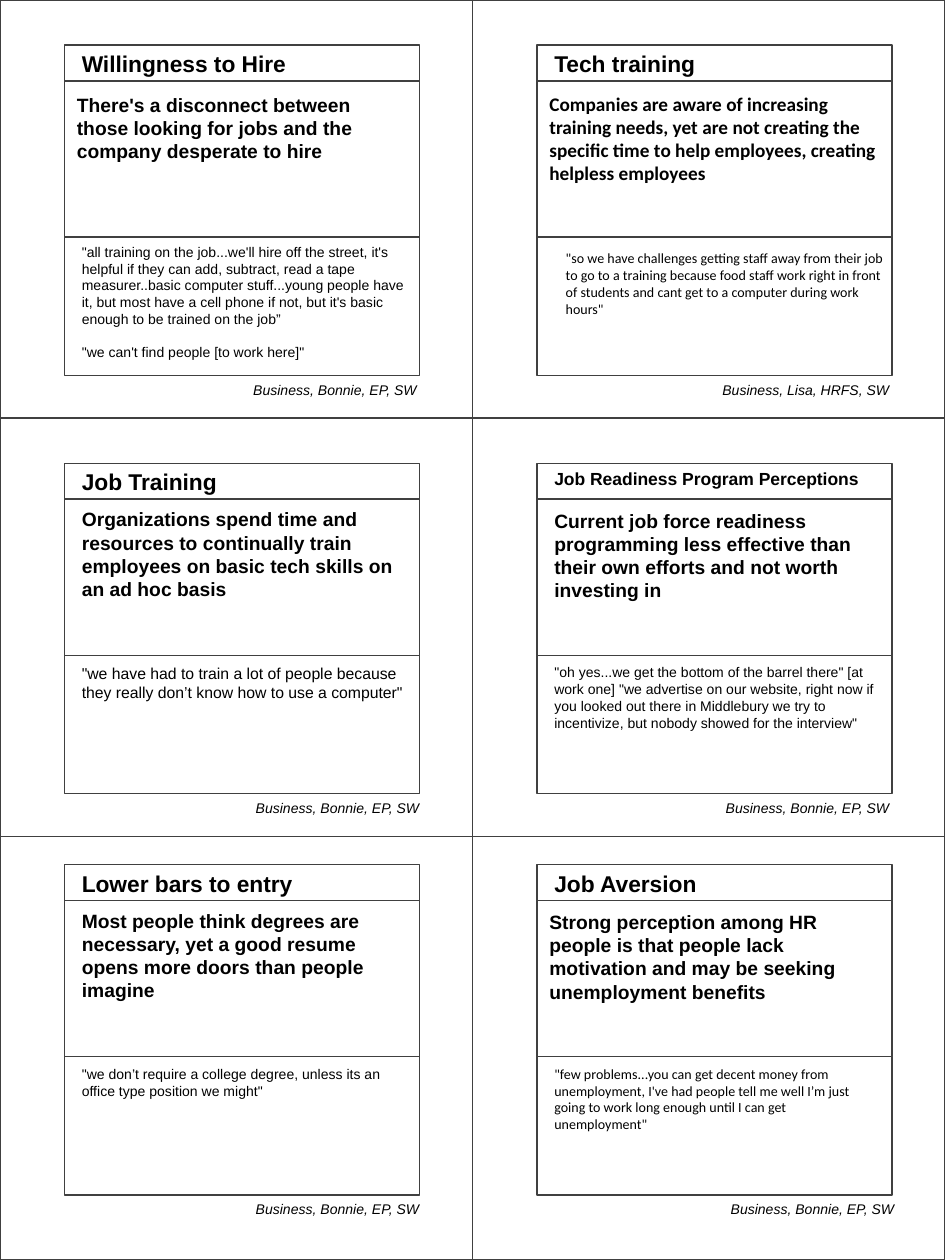
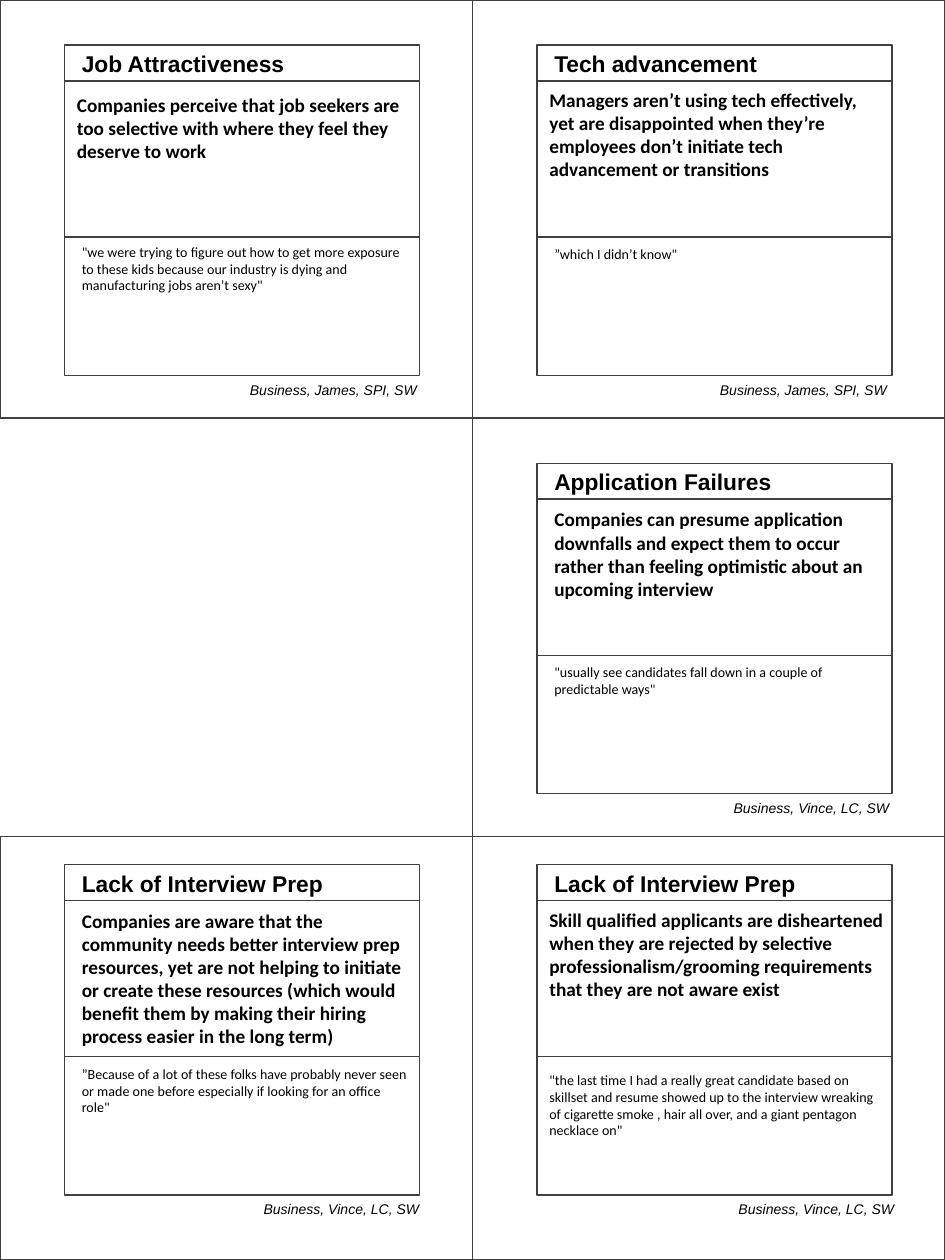
from dataclasses import dataclass

from pptx import Presentation
from pptx.dml.color import RGBColor
from pptx.enum.shapes import MSO_SHAPE
from pptx.enum.text import MSO_AUTO_SIZE, PP_ALIGN
from pptx.util import Cm, Pt


@dataclass(frozen=True)
class Theme:
    ink: RGBColor = RGBColor(0x00, 0x00, 0x00)
    rule: RGBColor = RGBColor(0x40, 0x40, 0x40)
    rule_width: float = 0.75
    heading_font: str = "Arial"
    body_font: str = "Calibri"
    title_size: float = 13
    small_title_size: float = 10
    insight_size: float = 11
    large_quote_size: float = 9
    quote_size: float = 8
    source_size: float = 8
    quote_gap: float = 9.5


@dataclass(frozen=True)
class Box:
    left: float
    top: float
    width: float
    height: float

    def inner(self, left, top, width, height):
        return Box(self.left + left, self.top + top, width, height)


@dataclass(frozen=True)
class Card:
    row: int
    column: int
    title: str
    insight: str
    quotes: tuple
    source: str
    title_size: float = Theme.title_size
    insight_font: str = Theme.body_font
    quote_font: str = Theme.body_font
    quote_size: float = Theme.quote_size
    insight_shift: tuple = (0.1, 0.05)
    insight_width: float = 7.06
    quote_shift: tuple = (0.1, 0.05)
    source_shift: float = -0.41


THEME = Theme()
PAGE_WIDTH, PAGE_HEIGHT = 19.05, 25.4
CELL_WIDTH = PAGE_WIDTH / 2
ROW_TOPS = (0, 8.43, 16.87, PAGE_HEIGHT)
CARD_TOPS = (0.91, 0.91, 0.56)
CARD_LEFT, CARD_WIDTH = 1.3, 7.16
TITLE_HEIGHT = 0.73
INSIGHT_TOP, INSIGHT_HEIGHT = 0.72, 3.15
QUOTE_TOP, QUOTE_HEIGHT = 3.87, 2.79
SOURCE_TOP, SOURCE_WIDTH = 6.65, 7.82

HIRING_CARDS = (
    Card(0, 0, "Willingness to Hire",
         "There's a disconnect between those looking for jobs and the company desperate to hire",
         ("\"all training on the job...we'll hire off the street, it's helpful if they can add, "
          "subtract, read a tape measurer..basic computer stuff...young people have it, but most "
          "have a cell phone if not, but it's basic enough to be trained on the job”",
          "\"we can't find people [to work here]\""),
         "Business, Bonnie, EP, SW",
         insight_font=THEME.heading_font, quote_font=THEME.heading_font,
         insight_shift=(0, 0.12), quote_shift=(0.1, 0), source_shift=-0.46),
    Card(0, 1, "Tech training",
         "Companies are aware of increasing training needs, yet are not creating the specific "
         "time to help employees, creating helpless employees",
         ("\"so we have challenges getting staff away from their job to go to a training because "
          "food staff work right in front of students and cant get to a computer during work "
          "hours\"",),
         "Business, Lisa, HRFS, SW",
         insight_shift=(0, 0.1), insight_width=7.16, quote_shift=(0.33, 0.13),
         source_shift=-0.46),
    Card(1, 0, "Job Training",
         "Organizations spend time and resources to continually train employees on basic tech "
         "skills on an ad hoc basis",
         ("\"we have had to train a lot of people because they really don’t know how to use a "
          "computer\"",),
         "Business, Bonnie, EP, SW",
         insight_font=THEME.heading_font, quote_font=THEME.heading_font,
         quote_size=THEME.large_quote_size),
    Card(1, 1, "Job Readiness Program Perceptions",
         "Current job force readiness programming less effective than their own efforts and not "
         "worth investing in",
         ("\"oh yes...we get the bottom of the barrel there\" [at work one] \"we advertise on our "
          "website, right now if you looked out there in Middlebury we try to incentivize, but "
          "nobody showed for the interview\"",),
         "Business, Bonnie, EP, SW",
         title_size=THEME.small_title_size, insight_font=THEME.heading_font,
         quote_font=THEME.heading_font, insight_shift=(0.1, 0.08), source_shift=-0.46),
    Card(2, 0, "Lower bars to entry",
         "Most people think degrees are necessary, yet a good resume opens more doors than "
         "people imagine",
         ("\"we don’t require a college degree, unless its an office type position we might\"",),
         "Business, Bonnie, EP, SW",
         insight_font=THEME.heading_font, quote_font=THEME.heading_font),
    Card(2, 1, "Job Aversion",
         "Strong perception among HR people is that people lack motivation and may be seeking "
         "unemployment benefits",
         ("\"few problems...you can get decent money from unemployment, I've had people tell me "
          "well I’m just going to work long enough until I can get unemployment\"",),
         "Business, Bonnie, EP, SW",
         insight_font=THEME.heading_font, insight_shift=(0, 0.08), insight_width=7.16,
         source_shift=-0.36),
)

APPLICANT_CARDS = (
    Card(0, 0, "Job Attractiveness",
         "Companies perceive that job seekers are too selective with where they feel they "
         "deserve to work",
         ("\"we were trying to figure out how to get more exposure to these kids because our "
          "industry is dying and manufacturing jobs aren’t sexy\"",),
         "Business, James, SPI, SW",
         insight_shift=(0, 0.12), insight_width=7.16, quote_shift=(0.1, 0), source_shift=-0.46),
    Card(0, 1, "Tech advancement",
         "Managers aren’t using tech effectively, yet are disappointed when they’re employees "
         "don’t initiate tech advancement or transitions",
         ("”which I didn’t know\"",),
         "Business, James, SPI, SW",
         insight_shift=(0, 0.02), insight_width=7.16, source_shift=-0.51),
    Card(1, 1, "Application Failures",
         "Companies can presume application downfalls and expect them to occur rather than "
         "feeling optimistic about an upcoming interview",
         ("\"usually see candidates fall down in a couple of predictable ways\"",),
         "Business, Vince, LC, SW",
         insight_width=6.86, source_shift=-0.46),
    Card(2, 0, "Lack of Interview Prep",
         "Companies are aware that the community needs better interview prep resources, yet are "
         "not helping to initiate or create these resources (which would benefit them by making "
         "their hiring process easier in the long term)",
         ("”Because of a lot of these folks have probably never seen or made one before "
          "especially if looking for an office role\"",),
         "Business, Vince, LC, SW"),
    Card(2, 1, "Lack of Interview Prep",
         "Skill qualified applicants are disheartened when they are rejected by selective "
         "professionalism/grooming requirements that they are not aware exist",
         ("\"the last time I had a really great candidate based on skillset and resume showed up "
          "to the interview wreaking of cigarette smoke , hair all over, and a giant pentagon "
          "necklace on\"",),
         "Business, Vince, LC, SW",
         insight_shift=(0, 0.03), insight_width=7.37, quote_shift=(0, 0.18),
         source_shift=-0.36),
)


def place(box):
    return Cm(box.left), Cm(box.top), Cm(box.width), Cm(box.height)


def add_frame(slide, box):
    frame = slide.shapes.add_shape(MSO_SHAPE.RECTANGLE, *place(box))
    frame.shadow.inherit = False
    frame.fill.background()
    frame.line.color.rgb = THEME.rule
    frame.line.width = Pt(THEME.rule_width)


def add_words(slide, box, passages, font, size, bold=False, italic=False, align=PP_ALIGN.LEFT):
    text_frame = slide.shapes.add_textbox(*place(box)).text_frame
    text_frame.word_wrap = True
    text_frame.auto_size = MSO_AUTO_SIZE.SHAPE_TO_FIT_TEXT
    text_frame.text = "\n".join(passages)
    for position, paragraph in enumerate(text_frame.paragraphs):
        paragraph.alignment = align
        if position:
            paragraph.space_before = Pt(THEME.quote_gap)
        for run in paragraph.runs:
            run.font.name = font
            run.font.size = Pt(size)
            run.font.bold = bold
            run.font.italic = italic
            run.font.color.rgb = THEME.ink


def add_title(slide, box, card):
    add_frame(slide, box)
    add_words(slide, box.inner(0.1, -0.03, 7.06, 0.81), (card.title,),
              THEME.heading_font, card.title_size, bold=True)


def add_insight(slide, box, card):
    add_frame(slide, box)
    add_words(slide, box.inner(*card.insight_shift, card.insight_width, 2.13), (card.insight,),
              card.insight_font, THEME.insight_size, bold=True)


def add_quotes(slide, box, card):
    add_frame(slide, box)
    add_words(slide, box.inner(*card.quote_shift, 7.06, 1.63), card.quotes,
              card.quote_font, card.quote_size)


def add_source(slide, box, card):
    add_words(slide, box, (card.source,), THEME.heading_font, THEME.source_size,
              italic=True, align=PP_ALIGN.RIGHT)


def add_card(slide, cell, card):
    add_frame(slide, cell)
    body = cell.inner(CARD_LEFT, CARD_TOPS[card.row], CARD_WIDTH, QUOTE_TOP + QUOTE_HEIGHT)
    add_title(slide, body.inner(0, 0, CARD_WIDTH, TITLE_HEIGHT), card)
    add_insight(slide, body.inner(0, INSIGHT_TOP, CARD_WIDTH, INSIGHT_HEIGHT), card)
    add_quotes(slide, body.inner(0, QUOTE_TOP, CARD_WIDTH, QUOTE_HEIGHT), card)
    add_source(slide, body.inner(card.source_shift, SOURCE_TOP, SOURCE_WIDTH, 0.61), card)


def add_card_sheet(presentation, cards):
    slide = presentation.slides.add_slide(presentation.slide_layouts[6])
    for card in cards:
        top, bottom = ROW_TOPS[card.row:card.row + 2]
        add_card(slide, Box(card.column * CELL_WIDTH, top, CELL_WIDTH, bottom - top), card)


def main():
    presentation = Presentation()
    presentation.slide_width = Cm(PAGE_WIDTH)
    presentation.slide_height = Cm(PAGE_HEIGHT)
    for cards in (HIRING_CARDS, APPLICANT_CARDS):
        add_card_sheet(presentation, cards)
    presentation.save("out.pptx")


if __name__ == "__main__":
    main()
